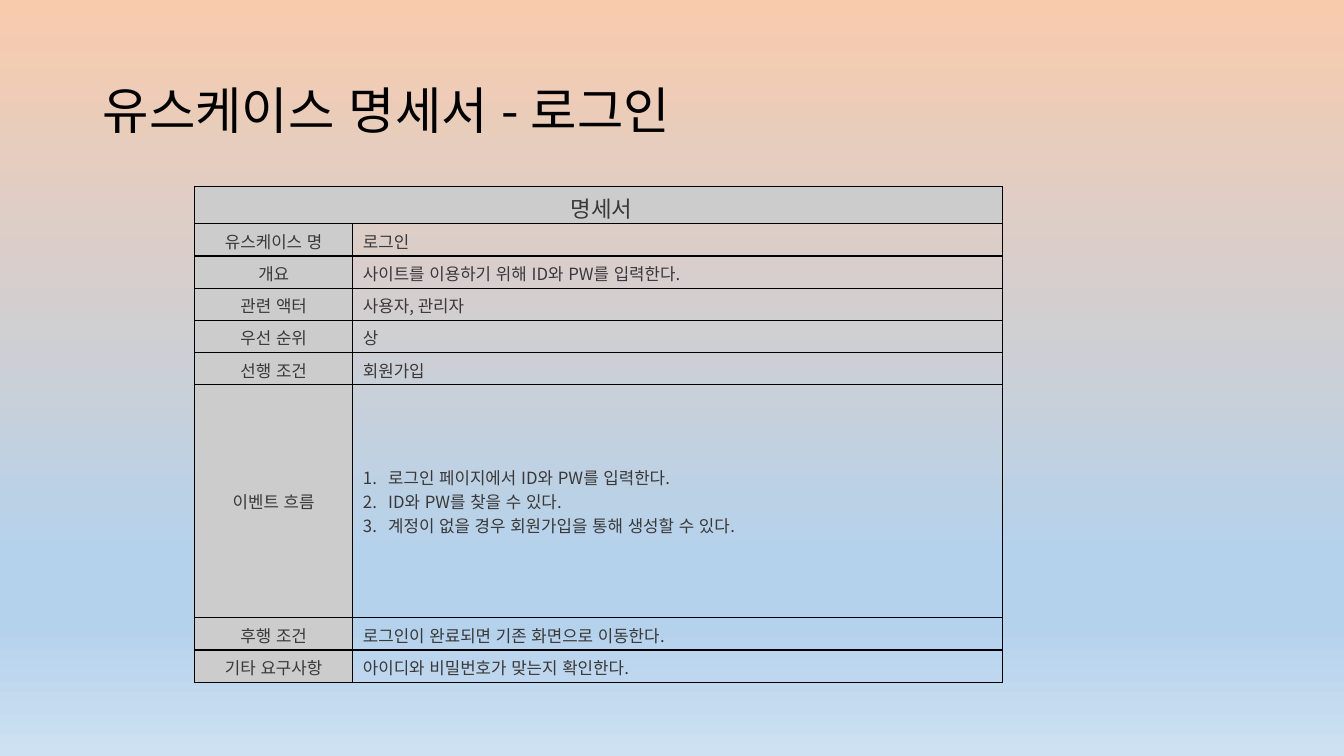
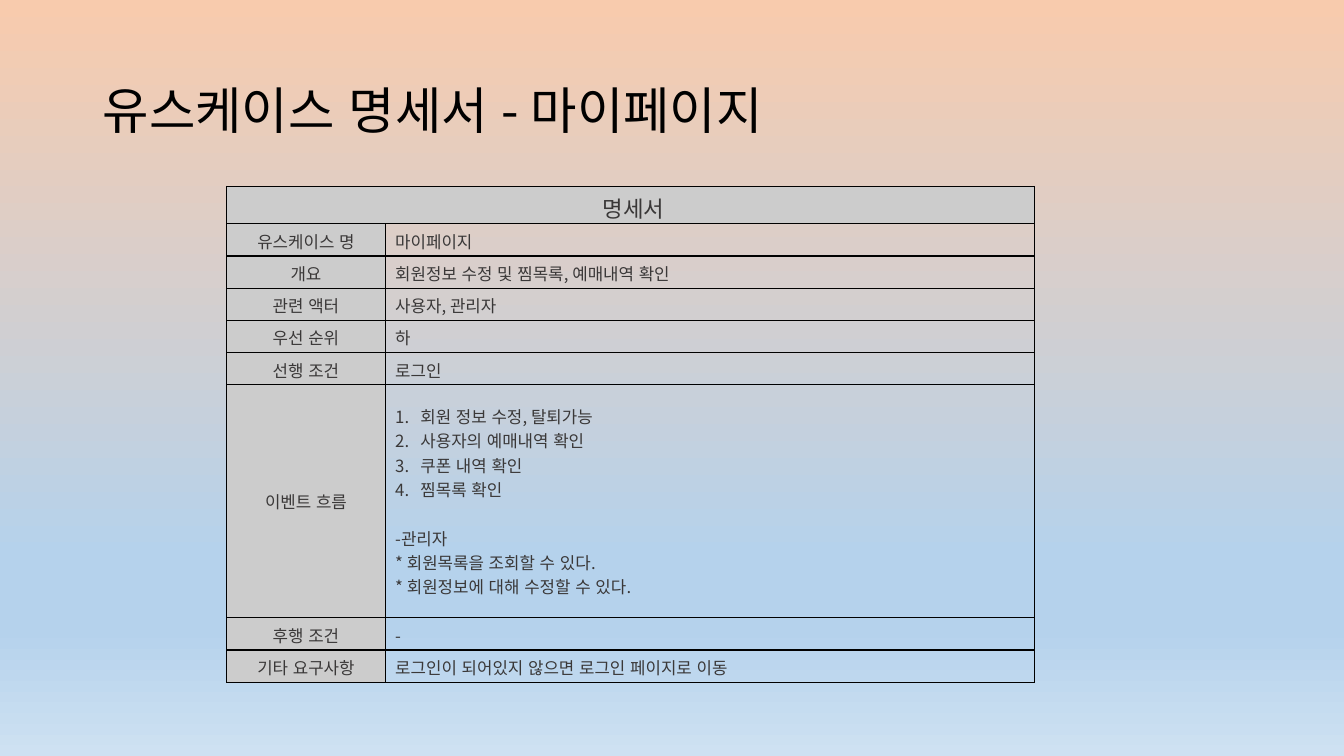
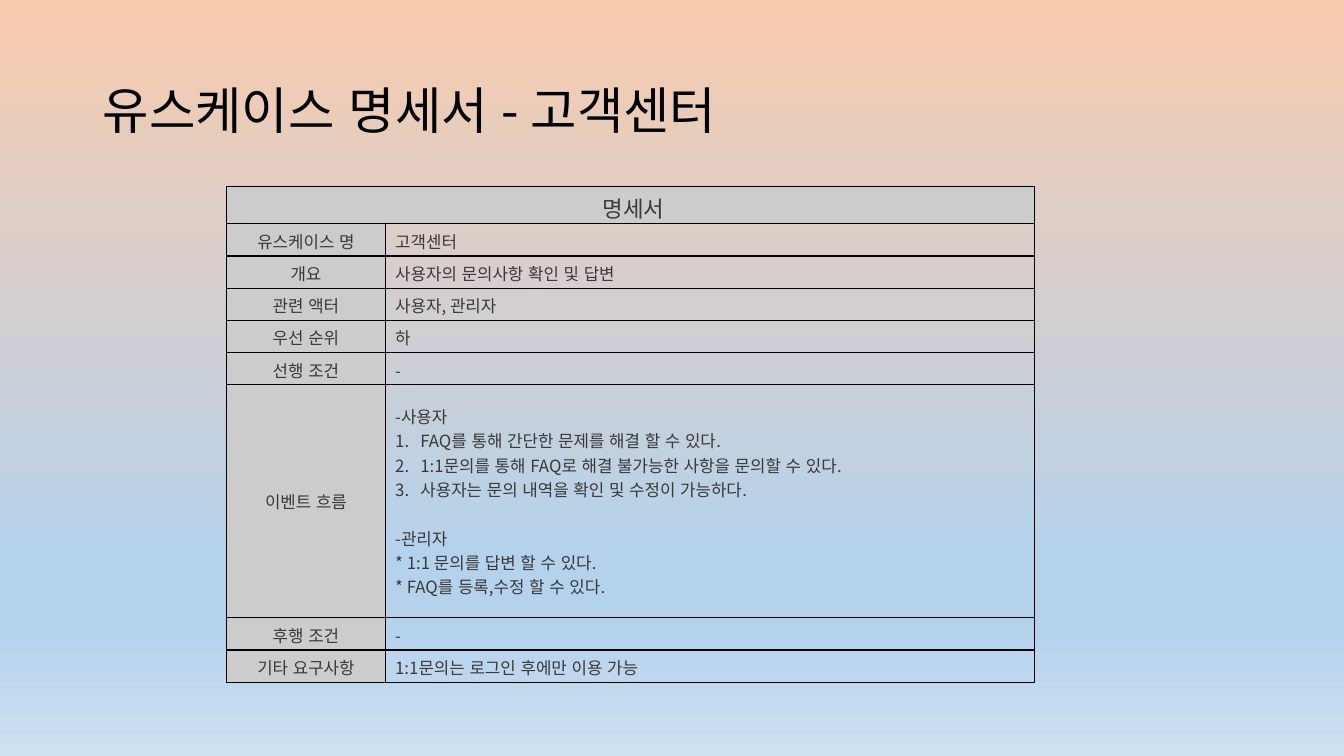
from dataclasses import dataclass

from pptx import Presentation
from pptx.dml.color import RGBColor
from pptx.enum.lang import MSO_LANGUAGE_ID
from pptx.enum.text import MSO_ANCHOR, PP_ALIGN
from pptx.oxml import parse_xml
from pptx.oxml.ns import nsdecls, qn
from pptx.util import Inches, Pt

KOREAN = MSO_LANGUAGE_ID.KOREAN
MIDDLE = MSO_ANCHOR.MIDDLE
LEFT, CENTER = PP_ALIGN.LEFT, PP_ALIGN.CENTER

# Content: each flow is a list of groups, each group a list of (kind, text)
PLAIN, NUMBERED = "plain", "numbered"
TITLE = "유스케이스 명세서 - {}"
HEADER = " 명세서"
LABELS = ["유스케이스 명", "개요", "관련 액터", "우선 순위", "선행 조건",
          "이벤트 흐름", "후행 조건", "기타 요구사항"]
FLOW_LABEL = "이벤트 흐름"

USE_CASES = [
    {"left": 1.93, "values": [
        "로그인",
        "사이트를 이용하기 위해 ID와 PW를 입력한다.",
        "사용자, 관리자",
        "상",
        "회원가입",
        [[(NUMBERED, "로그인 페이지에서 ID와 PW를 입력한다."),
          (NUMBERED, "ID와 PW를 찾을 수 있다."),
          (NUMBERED, "계정이 없을 경우 회원가입을 통해 생성할 수 있다.")]],
        "로그인이 완료되면 기존 화면으로 이동한다.",
        "아이디와 비밀번호가 맞는지 확인한다.",
    ]},
    {"left": 2.25, "values": [
        "마이페이지",
        "회원정보 수정 및 찜목록, 예매내역 확인",
        "사용자, 관리자",
        "하",
        "로그인",
        [[(NUMBERED, "회원 정보 수정, 탈퇴가능"),
          (NUMBERED, "사용자의 예매내역 확인"),
          (NUMBERED, "쿠폰 내역 확인"),
          (NUMBERED, "찜목록 확인")],
         [(PLAIN, "-관리자"),
          (PLAIN, "* 회원목록을 조회할 수 있다."),
          (PLAIN, "* 회원정보에 대해 수정할 수 있다.")]],
        "-",
        "로그인이 되어있지 않으면 로그인 페이지로 이동",
    ]},
    {"left": 2.25, "values": [
        "고객센터",
        "사용자의 문의사항 확인 및 답변",
        "사용자, 관리자",
        "하",
        "-",
        [[(PLAIN, "-사용자"),
          (NUMBERED, "FAQ를 통해 간단한 문제를 해결 할 수 있다."),
          (NUMBERED, "1:1문의를 통해 FAQ로 해결 불가능한 사항을 문의할 수 있다."),
          (NUMBERED, "사용자는 문의 내역을 확인 및 수정이 가능하다.")],
         [(PLAIN, "-관리자"),
          (PLAIN, "* 1:1 문의를 답변 할 수 있다."),
          (PLAIN, "* FAQ를 등록,수정 할 수 있다.")]],
        "-",
        "1:1문의는 로그인 후에만 이용 가능",
    ]},
]


@dataclass(frozen=True)
class Theme:
    font: str = "Noto Sans CJK KR"
    title: str = "000000"
    text: str = "3A3838"
    label_fill: str = "CCCCCC"
    border: str = "000000"
    background: tuple = ((0, "F8CBAD"), (74, "B5D2EC"), (83, "B5D2EC"), (100, "CEE1F2"))
    title_size: int = 36
    header_size: int = 16
    body_size: int = 12
    group_gap: float = 17.4
    border_width: int = 1


T = Theme()

# Layout in inches
TITLE_BOX = (0.92, 0.4, 11.5, 1.45)
TABLE_TOP = 1.85
COLUMNS = (1.57, 6.44)
HEADER_ROW, ROW, FLOW_ROW = 0.37, 0.32, 2.31
NUMBER_INDENT = 0.25


def write(p, text, size=T.body_size, color=T.text, align=LEFT,
          before=0, line=None, numbered=False):
    """Fill one paragraph with formatted text."""
    p.alignment = align
    p.space_before = Pt(before)
    if line:
        p.line_spacing = line
    r = p.add_run()
    r.text = text
    r.font.name = T.font
    r.font.size = Pt(size)
    r.font.color.rgb = RGBColor.from_string(color)
    r.font.language_id = KOREAN
    r.font._element.find(qn("a:latin")).addnext(
        parse_xml(f'<a:ea {nsdecls("a")} typeface="{T.font}"/>'))
    if numbered:
        pPr = p._p.get_or_add_pPr()
        indent = Inches(NUMBER_INDENT)
        pPr.set("marL", str(indent))
        pPr.set("indent", str(-indent))
        for xml in (f'<a:buClr {nsdecls("a")}><a:srgbClr val="{color}"/></a:buClr>',
                    f'<a:buFont {nsdecls("a")} typeface="+mj-lt"/>',
                    f'<a:buAutoNum {nsdecls("a")} type="arabicPeriod"/>'):
            pPr.append(parse_xml(xml))


def set_background(master):
    """Give every slide the same vertical gradient."""
    fill = master.background.fill
    fill.gradient()
    fill.gradient_angle = 270
    stops = master.element.find(".//" + qn("a:gsLst"))
    for stop in list(stops):
        stops.remove(stop)
    for share, color in T.background:
        stops.append(parse_xml(
            f'<a:gs {nsdecls("a")} pos="{share * 1000}"><a:srgbClr val="{color}"/></a:gs>'))


def format_cell(cell, fill=None):
    """Draw the borders, then the fill."""
    cell.vertical_anchor = MIDDLE
    tcPr = cell._tc.get_or_add_tcPr()
    for side in "LRTB":
        tcPr.append(parse_xml(
            f'<a:ln{side} {nsdecls("a")} w="{Pt(T.border_width)}"><a:solidFill>'
            f'<a:srgbClr val="{T.border}"/></a:solidFill></a:ln{side}>'))
    if fill:
        cell.fill.solid()
        cell.fill.fore_color.rgb = RGBColor.from_string(fill)
    else:
        cell.fill.background()


def write_flow(tf, groups):
    """Write groups of steps, separated by one line of space."""
    p = tf.paragraphs[0]
    for g, group in enumerate(groups):
        for i, (kind, text) in enumerate(group):
            if g or i:
                p = tf.add_paragraph()
            write(p, text, numbered=kind == NUMBERED,
                  before=T.group_gap if g and not i else 0)


def add_title(s, text):
    tf = s.shapes.add_textbox(*map(Inches, TITLE_BOX)).text_frame
    tf.word_wrap = True
    tf.vertical_anchor = MIDDLE
    write(tf.paragraphs[0], text, size=T.title_size, color=T.title, line=0.9)


def add_specification(s, left, values):
    heights = [HEADER_ROW] + [FLOW_ROW if label == FLOW_LABEL else ROW for label in LABELS]
    box = (left, TABLE_TOP, sum(COLUMNS), sum(heights))
    table = s.shapes.add_table(len(heights), len(COLUMNS), *map(Inches, box)).table
    table.first_row = table.horz_banding = False
    for column, width in zip(table.columns, COLUMNS):
        column.width = Inches(width)
    for row, height in zip(table.rows, heights):
        row.height = Inches(height)

    # Header across both columns
    header = table.cell(0, 0)
    header.merge(table.cell(0, 1))
    for cell in table.rows[0].cells:
        format_cell(cell, T.label_fill)
    write(header.text_frame.paragraphs[0], HEADER, size=T.header_size, align=CENTER)

    # Label and value rows
    for i, (label, value) in enumerate(zip(LABELS, values), start=1):
        name, detail = table.cell(i, 0), table.cell(i, 1)
        format_cell(name, T.label_fill)
        format_cell(detail)
        write(name.text_frame.paragraphs[0], label, align=CENTER)
        write_flow(detail.text_frame, value if label == FLOW_LABEL else [[(PLAIN, value)]])


def main():
    prs = Presentation()
    prs.slide_width, prs.slide_height = Inches(13.33), Inches(7.5)
    set_background(prs.slide_master)
    for case in USE_CASES:
        s = prs.slides.add_slide(prs.slide_layouts[6])
        add_title(s, TITLE.format(case["values"][0]))
        add_specification(s, case["left"], case["values"])
    prs.save("out.pptx")


if __name__ == "__main__":
    main()
